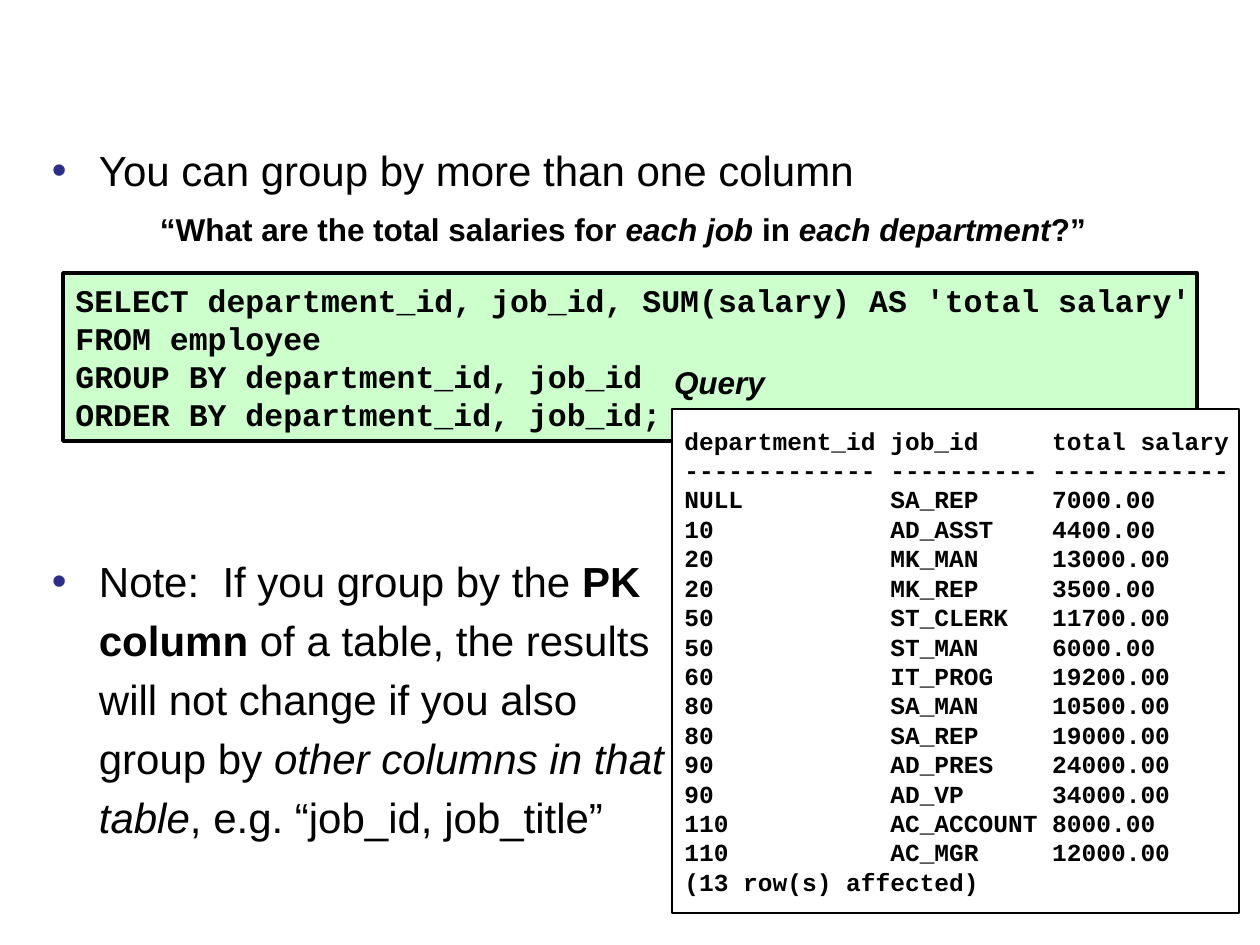
"""Build a slide on grouping query results by more than one column."""
from dataclasses import dataclass

from lxml.etree import SubElement
from pptx import Presentation
from pptx.dml.color import RGBColor
from pptx.enum.shapes import MSO_SHAPE
from pptx.enum.text import MSO_ANCHOR, PP_ALIGN
from pptx.oxml.ns import qn
from pptx.util import Emu, Pt


@dataclass(frozen=True)
class Theme:
    black: RGBColor = RGBColor(0, 0, 0)
    white: RGBColor = RGBColor(255, 255, 255)
    green: RGBColor = RGBColor(0xCC, 0xFF, 0xCC)
    bullet: str = "2D2D8A"
    sans: str = "Arial"
    mono: str = "Courier New"
    body_size: int = 24
    label_size: int = 18
    result_size: int = 14
    body_gap: float = 4.8


THEME = Theme()
PLAIN, BOLD, ITALIC = "plain", "bold", "italic"

HEADLINE = [[("You can group by more than one column", PLAIN)]]
NOTE = [
    [("Note:  If you group by the ", PLAIN), ("PK", BOLD)],
    [("column", BOLD), (" of a table, the results", PLAIN)],
    [("will not change if you also", PLAIN)],
    [("group by", PLAIN), (" other columns in that", ITALIC)],
    [("table", ITALIC), (", e.g. “job_id, job_title”", PLAIN)],
]
QUESTION = [[
    ("“What are the total salaries for ", PLAIN), ("each job ", ITALIC),
    ("in ", PLAIN), ("each department", ITALIC), ("?”", PLAIN),
]]
QUERY_LABEL = [[("Query", ITALIC)]]
SQL = [
    "SELECT department_id, job_id, SUM(salary) AS 'total salary'",
    "FROM employee",
    "GROUP BY department_id, job_id",
    "ORDER BY department_id, job_id;",
]
RESULT_ROWS = [
    ("department_id", "job_id", "total salary"),
    ("-" * 13, "-" * 10, "-" * 12),
    ("NULL", "SA_REP", "7000.00"),
    ("10", "AD_ASST", "4400.00"),
    ("20", "MK_MAN", "13000.00"),
    ("20", "MK_REP", "3500.00"),
    ("50", "ST_CLERK", "11700.00"),
    ("50", "ST_MAN", "6000.00"),
    ("60", "IT_PROG", "19200.00"),
    ("80", "SA_MAN", "10500.00"),
    ("80", "SA_REP", "19000.00"),
    ("90", "AD_PRES", "24000.00"),
    ("90", "AD_VP", "34000.00"),
    ("110", "AC_ACCOUNT", "8000.00"),
    ("110", "AC_MGR", "12000.00"),
]
RESULT_FOOTER = "(13 row(s) affected)"
HANGING_INDENT = 47


def px(value):
    return Emu(round(value * 914400 / 126))


def set_font(font, name, size, bold=None):
    font.name, font.size, font.bold = name, Pt(size), bold
    font.color.rgb = THEME.black


def indent(paragraph, bulleted):
    properties = paragraph._p.get_or_add_pPr()
    properties.set("marL", str(px(HANGING_INDENT)))
    properties.set("indent", str(-px(HANGING_INDENT) if bulleted else 0))
    if bulleted:
        color = SubElement(properties, qn("a:buClr"))
        SubElement(color, qn("a:srgbClr"), val=THEME.bullet)
        SubElement(properties, qn("a:buFont"), typeface=THEME.sans)
        SubElement(properties, qn("a:buChar"), char="•")


def add_text(slide, box, lines, size, bold=None, bulleted=False):
    frame = slide.shapes.add_textbox(*map(px, box)).text_frame
    frame.word_wrap = True
    frame.margin_left = frame.margin_right = frame.margin_top = frame.margin_bottom = 0
    for index, line in enumerate(lines):
        paragraph = frame.add_paragraph() if index else frame.paragraphs[0]
        if bulleted:
            indent(paragraph, index == 0)
        if index:
            paragraph.space_before = Pt(THEME.body_gap)
        set_font(paragraph.font, THEME.sans, size, bold)
        for text, style in line:
            run = paragraph.add_run()
            run.text = text
            if style == BOLD:
                run.font.bold = True
            if style == ITALIC:
                run.font.italic = True


def add_code(slide, box, lines, size, fill, line_width):
    shape = slide.shapes.add_shape(MSO_SHAPE.RECTANGLE, *map(px, box))
    shape.shadow.inherit = False
    shape.fill.solid()
    shape.fill.fore_color.rgb = fill
    shape.line.color.rgb = THEME.black
    shape.line.width = Pt(line_width)
    frame = shape.text_frame
    frame.word_wrap = False
    frame.vertical_anchor = MSO_ANCHOR.MIDDLE
    frame.text = "\n".join(lines)
    for paragraph in frame.paragraphs:
        paragraph.alignment = PP_ALIGN.LEFT
        set_font(paragraph.font, THEME.mono, size, True)


def main():
    presentation = Presentation()
    presentation.slide_width, presentation.slide_height = px(1260), px(945)
    slide = presentation.slides.add_slide(presentation.slide_layouts[6])

    add_text(slide, (52, 145, 1156, 50), HEADLINE, THEME.body_size, bulleted=True)
    add_text(slide, (52, 556, 640, 290), NOTE, THEME.body_size, bulleted=True)
    add_text(slide, (160, 210, 942, 38), QUESTION, THEME.label_size, True)
    add_code(slide, (63, 273, 1134, 168), SQL, THEME.label_size, THEME.green, 2)
    add_text(slide, (674, 363, 170, 44), QUERY_LABEL, THEME.label_size, True)
    result = [f"{department:<14}{job:<11}{total}" for department, job, total in RESULT_ROWS]
    add_code(slide, (672, 409, 567, 504), result + [RESULT_FOOTER],
             THEME.result_size, THEME.white, 0.75)

    presentation.save("out.pptx")


if __name__ == "__main__":
    main()
